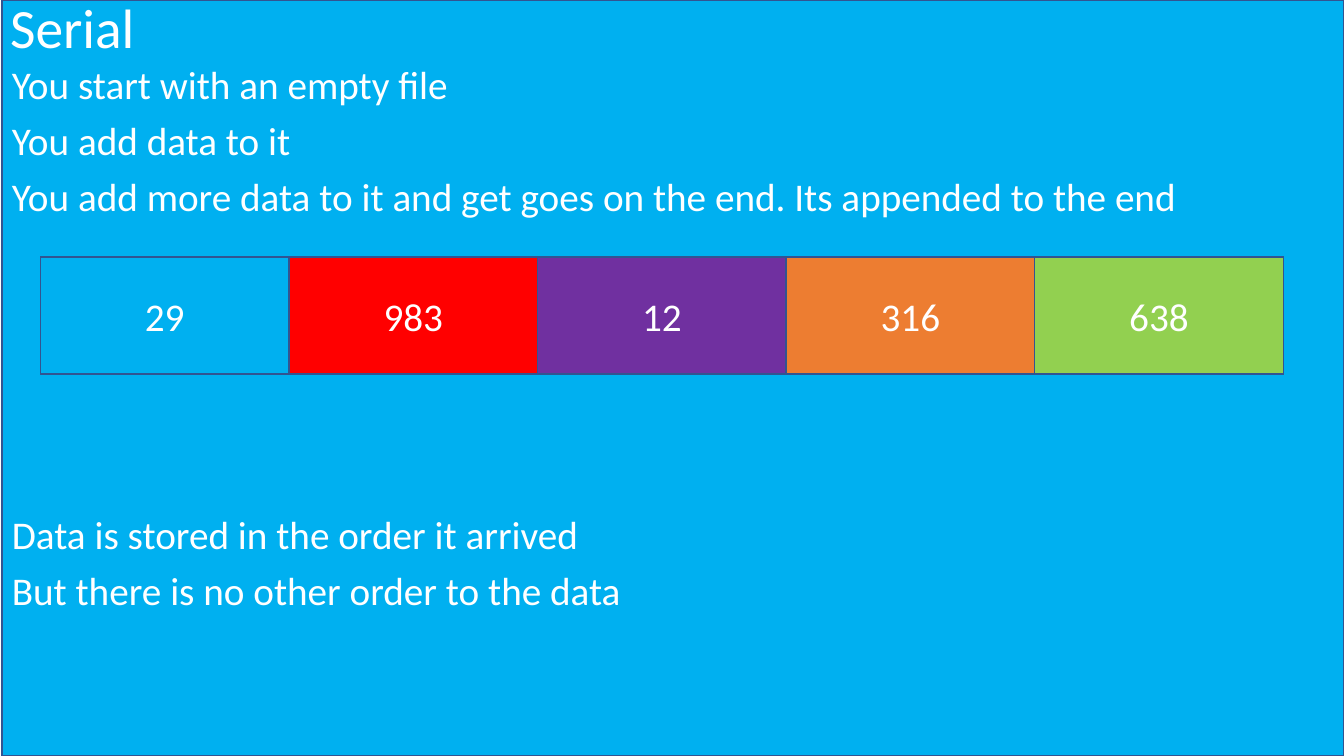
from pptx import Presentation
from pptx import util as u
from pptx.dml.color import RGBColor
from pptx.enum import shapes, text

FONT = "Calibri"
COLORS = {
    "sky": "00B0F0", "red": "FF0000", "purple": "7030A0", "orange": "ED7D31",
    "green": "92D050", "white": "FFFFFF", "outline": "325491",
}
RECORDS = [("29", "sky"), ("983", "red"), ("12", "purple"),
           ("316", "orange"), ("638", "green")]
LINE_GAP = 10
FILE_GAP = 211  # room for the row of records between the two groups of lines
LINES = [
    ("You start with an empty file", 0),
    ("You add data to it", LINE_GAP),
    ("You add more data to it and get goes on the end. Its appended to the end", LINE_GAP),
    ("Data is stored in the order it arrived", FILE_GAP),
    ("But there is no other order to the data", LINE_GAP),
]


def rgb(name):
    return RGBColor.from_string(COLORS[name])


def add_run(p, words, size):
    r = p.add_run()
    r.text = words
    r.font.name = FONT
    r.font.size = u.Pt(size)
    r.font.color.rgb = rgb("white")


def add_box(s, left, top, width, height, fill):
    sp = s.shapes.add_shape(shapes.MSO_SHAPE.RECTANGLE, left, top, width, height)
    sp.shadow.inherit = False
    sp.fill.solid()
    sp.fill.fore_color.rgb = rgb(fill)
    sp.line.color.rgb = rgb("outline")
    sp.line.width = u.Pt(1)
    return sp


def add_background(s, left, top, width, height):
    """Place the coloured panel behind the title."""
    sp = add_box(s, left, top, width, height, "sky")
    s.shapes.title.element.addprevious(sp.element)


def set_title(s, left, top, width, height):
    sp = s.shapes.title
    sp.left, sp.top, sp.width, sp.height = left, top, width, height
    tf = sp.text_frame
    tf.auto_size = text.MSO_AUTO_SIZE.NONE
    tf.vertical_anchor = text.MSO_ANCHOR.MIDDLE
    p = tf.paragraphs[0]
    p.alignment = text.PP_ALIGN.LEFT
    p.line_spacing = 0.9
    add_run(p, "Serial", 39.6)


def add_body(s, left, top, width, height):
    tf = s.shapes.add_textbox(left, top, width, height).text_frame
    tf.word_wrap = True
    for i, (words, gap) in enumerate(LINES):
        p = tf.add_paragraph() if i else tf.paragraphs[0]
        p.line_spacing = 0.9
        p.space_before = u.Pt(gap)
        add_run(p, words, 28)


def add_records(s, left, top, width, height):
    """Draw the file as a frame filled by equal cells, one per record."""
    add_box(s, left, top, width, height, "white")
    cell = width // len(RECORDS)
    for i, (value, fill) in enumerate(RECORDS):
        tf = add_box(s, left + i * cell, top, cell, height, fill).text_frame
        tf.vertical_anchor = text.MSO_ANCHOR.MIDDLE
        p = tf.paragraphs[0]
        p.alignment = text.PP_ALIGN.CENTER
        add_run(p, value, 28)


def main():
    prs = Presentation()
    prs.slide_width, prs.slide_height = u.Cm(33.87), u.Cm(19.05)
    s = prs.slides.add_slide(prs.slide_layouts[5])
    edge, title_height = u.Cm(0.05), u.Cm(1.52)
    panel_width = prs.slide_width - edge
    add_background(s, edge, 0, panel_width, prs.slide_height)
    set_title(s, 0, 0, prs.slide_width, title_height)
    add_body(s, edge, title_height, panel_width, prs.slide_height - title_height)
    add_records(s, u.Cm(1.02), u.Cm(6.48), u.Cm(31.32), u.Cm(2.95))
    prs.save("out.pptx")


if __name__ == "__main__":
    main()
